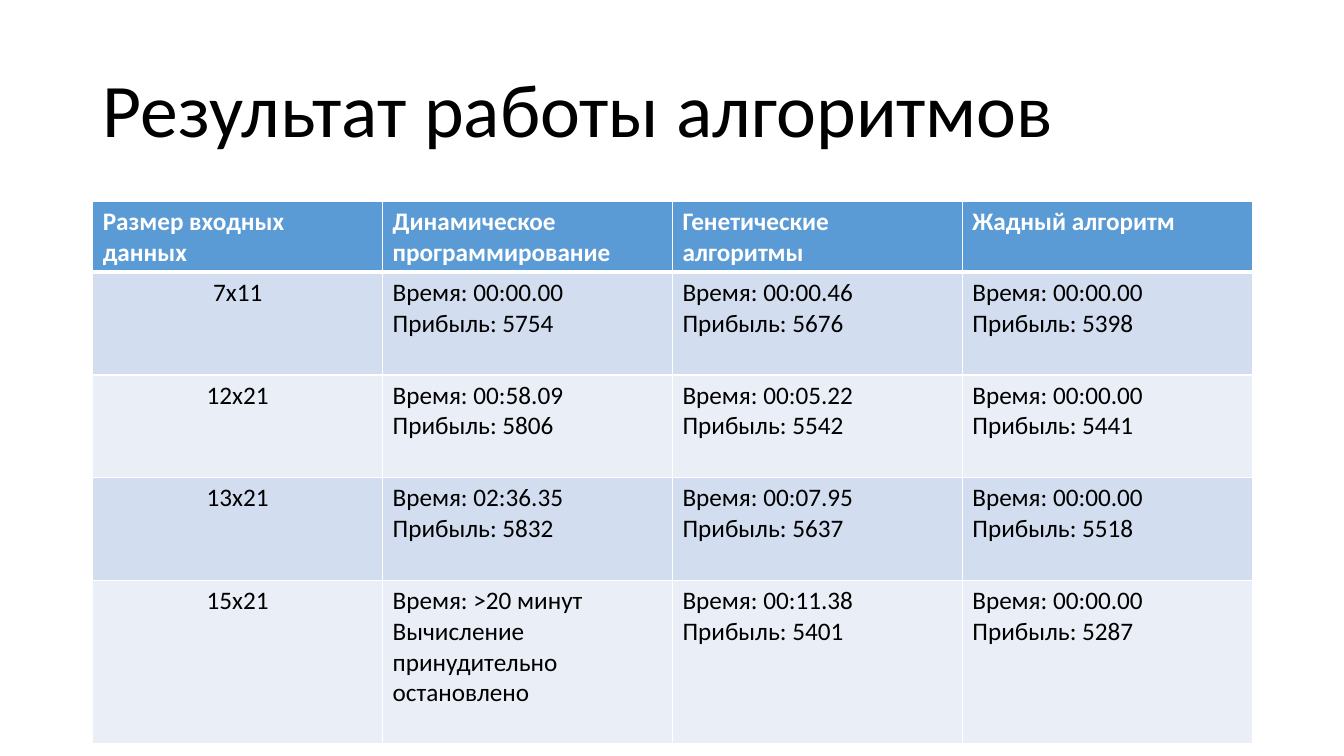
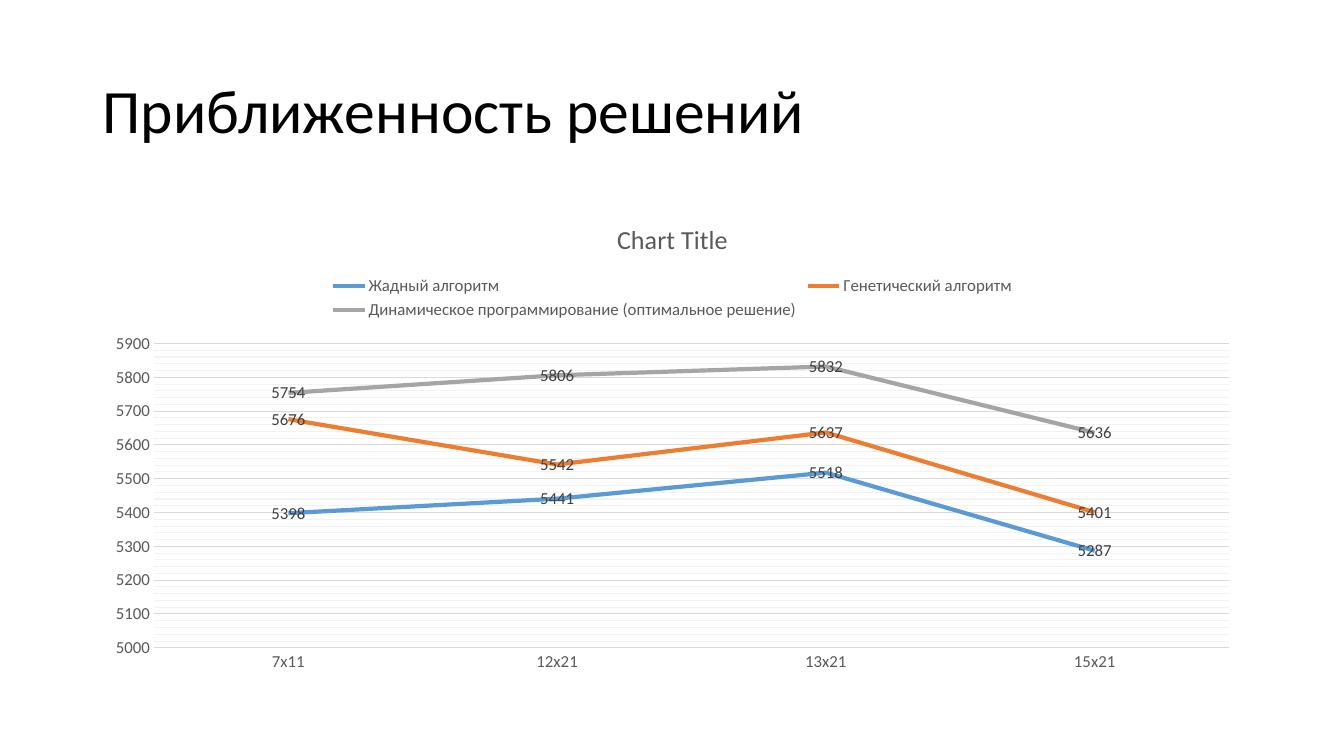
from lxml import etree
from pptx import Presentation
from pptx.chart.data import CategoryChartData
from pptx.dml.color import RGBColor
from pptx.enum.chart import XL_CHART_TYPE, XL_LABEL_POSITION, XL_LEGEND_POSITION, XL_TICK_MARK
from pptx.enum.text import MSO_ANCHOR, PP_ALIGN
from pptx.oxml.ns import qn
from pptx.util import Inches, Pt

LINE_CHART = XL_CHART_TYPE.LINE
LABEL_CENTER = XL_LABEL_POSITION.CENTER
LEGEND_TOP = XL_LEGEND_POSITION.TOP
NO_TICK = XL_TICK_MARK.NONE
MIDDLE = MSO_ANCHOR.MIDDLE
LEFT, CENTER = PP_ALIGN.LEFT, PP_ALIGN.CENTER

FONT = "Calibri"
BLACK = RGBColor(0x00, 0x00, 0x00)
WHITE = RGBColor(0xFF, 0xFF, 0xFF)
BLUE = RGBColor(0x5B, 0x9B, 0xD5)
ORANGE = RGBColor(0xED, 0x7D, 0x31)
GRAY = RGBColor(0xA5, 0xA5, 0xA5)
BANDS = (RGBColor(0xD2, 0xDE, 0xEF), RGBColor(0xEA, 0xEF, 0xF7))
AXIS_TEXT = RGBColor(0x59, 0x59, 0x59)
LABEL_TEXT = RGBColor(0x40, 0x40, 0x40)
GRID = RGBColor(0xD9, 0xD9, 0xD9)
MINOR_GRID = RGBColor(0xF2, 0xF2, 0xF2)

MARGIN, CONTENT_WIDTH, CONTENT_TOP = 0.92, 11.5, 2

TABLE_TITLE = "Результат работы алгоритмов"
HEADER = ("Размер входных данных", "Динамическое программирование",
          "Генетические алгоритмы", "Жадный алгоритм")
SIZES = ("7х11", "12х21", "13х21", "15х21")
DYNAMIC = ("Время: 00:00.00\nПрибыль: 5754", "Время: 00:58.09\nПрибыль: 5806",
           "Время: 02:36.35\nПрибыль: 5832",
           "Время: >20 минут\nВычисление принудительно остановлено")
GENETIC = ("Время: 00:00.46\nПрибыль: 5676", "Время: 00:05.22\nПрибыль: 5542",
           "Время: 00:07.95\nПрибыль: 5637", "Время: 00:11.38\nПрибыль: 5401")
GREEDY = ("Время: 00:00.00\nПрибыль: 5398", "Время: 00:00.00\nПрибыль: 5441",
          "Время: 00:00.00\nПрибыль: 5518", "Время: 00:00.00\nПрибыль: 5287")
ROW_HEIGHTS = (0.7, 1.02, 1.02, 1.02, 1.62)

CHART_SLIDE_TITLE = "Приближенность решений"
CHART_TITLE = "Chart Title"
SERIES = (
    ("Жадный алгоритм", (5398, 5441, 5518, 5287), BLUE),
    ("Генетический алгоритм", (5676, 5542, 5637, 5401), ORANGE),
    ("Динамическое программирование (оптимальное решение)",
     (5754, 5806, 5832, 5636), GRAY),
)


def style_font(font, size, color, bold=False):
    """Apply the shared typeface with a size, colour and weight."""
    font.name, font.size, font.bold = FONT, Pt(size), bold
    font.color.rgb = color


def write_text(frame, text, size=18, color=BLACK, bold=False, align=LEFT, spacing=None):
    """Fill a text frame, one paragraph for each line of text."""
    for index, line in enumerate(text.split("\n")):
        paragraph = frame.paragraphs[0] if index == 0 else frame.add_paragraph()
        paragraph.alignment = align
        paragraph.line_spacing = spacing
        run = paragraph.add_run()
        run.text = line
        style_font(run.font, size, color, bold)


def add_titled_slide(presentation, title, size):
    """Add a blank slide with the shared title area."""
    slide = presentation.slides.add_slide(presentation.slide_layouts[6])
    box = slide.shapes.add_textbox(Inches(MARGIN), Inches(0.4),
                                   Inches(CONTENT_WIDTH), Inches(1.45))
    box.text_frame.word_wrap = True
    box.text_frame.vertical_anchor = MIDDLE
    write_text(box.text_frame, title, size=size, spacing=0.9)
    return slide


def add_line_xml(parent, tag, color, width):
    """Append a solid line element, with its width in points."""
    line = etree.SubElement(parent, qn(tag), w=str(Pt(width)))
    fill = etree.SubElement(line, qn("a:solidFill"))
    etree.SubElement(fill, qn("a:srgbClr"), val=str(color))


def set_borders(cell, top=1, bottom=1):
    """Draw white cell borders, with widths in points."""
    properties = cell._tc.get_or_add_tcPr()
    for side, width in (("L", 1), ("R", 1), ("T", top), ("B", bottom)):
        add_line_xml(properties, f"a:ln{side}", WHITE, width)


def add_results_table(slide):
    """Add the table that compares the three algorithms."""
    rows = [HEADER, *zip(SIZES, DYNAMIC, GENETIC, GREEDY)]
    table = slide.shapes.add_table(
        len(rows), len(HEADER), Inches(MARGIN), Inches(CONTENT_TOP),
        Inches(CONTENT_WIDTH), Inches(sum(ROW_HEIGHTS))).table
    for column in table.columns:
        column.width = Inches(CONTENT_WIDTH / len(HEADER))
    for row_index, (values, height) in enumerate(zip(rows, ROW_HEIGHTS)):
        table.rows[row_index].height = Inches(height)
        is_header = row_index == 0
        for column_index, text in enumerate(values):
            cell = table.cell(row_index, column_index)
            set_borders(cell, top=3 if row_index == 1 else 1,
                        bottom=3 if is_header else 1)
            cell.fill.solid()
            cell.fill.fore_color.rgb = BLUE if is_header else BANDS[(row_index - 1) % 2]
            write_text(cell.text_frame, text, bold=is_header,
                       color=WHITE if is_header else BLACK,
                       align=CENTER if column_index == 0 and not is_header else LEFT)


def style_line(line, color, width=0.75):
    """Set the colour and width of a line."""
    line.color.rgb = color
    line.width = Pt(width)


def style_axes(chart):
    """Format both axes and the two levels of gridlines."""
    for axis in (chart.category_axis, chart.value_axis):
        axis.major_tick_mark = axis.minor_tick_mark = NO_TICK
        style_font(axis.tick_labels.font, 12, AXIS_TEXT)
    style_line(chart.category_axis.format.line, GRID)
    values = chart.value_axis
    values.format.line.fill.background()
    values.minimum_scale, values.maximum_scale = 5000, 5900
    values.major_unit, values.minor_unit = 100, 20
    values.has_major_gridlines = values.has_minor_gridlines = True
    style_line(values.major_gridlines.format.line, GRID)
    minor_gridlines = values._element.find(qn("c:minorGridlines"))
    add_line_xml(etree.SubElement(minor_gridlines, qn("c:spPr")), "a:ln", MINOR_GRID, 0.75)


def add_profit_chart(slide):
    """Add the line chart of profit by input size."""
    data = CategoryChartData()
    data.categories = SIZES
    for name, profits, _ in SERIES:
        data.add_series(name, profits)
    chart = slide.shapes.add_chart(
        LINE_CHART, Inches(MARGIN), Inches(CONTENT_TOP),
        Inches(CONTENT_WIDTH), Inches(4.76), data).chart
    style_font(chart.font, 10, BLACK)
    chart.has_title = True
    write_text(chart.chart_title.text_frame, CHART_TITLE, size=18.6,
               color=AXIS_TEXT, align=CENTER)
    chart.has_legend = True
    chart.legend.position = LEGEND_TOP
    chart.legend.include_in_layout = False
    style_font(chart.legend.font, 12, AXIS_TEXT)
    style_axes(chart)
    plot = chart.plots[0]
    plot.vary_by_categories = False
    for series, (_, _, color) in zip(plot.series, SERIES):
        series.smooth = False
        style_line(series.format.line, color, width=3)
        labels = series.data_labels
        labels.show_value = True
        labels.position = LABEL_CENTER
        style_font(labels.font, 12, LABEL_TEXT)


def main():
    """Build and save the presentation."""
    presentation = Presentation()
    presentation.slide_width, presentation.slide_height = Inches(13.33), Inches(7.5)
    add_results_table(add_titled_slide(presentation, TABLE_TITLE, 54))
    add_profit_chart(add_titled_slide(presentation, CHART_SLIDE_TITLE, 44))
    presentation.save("out.pptx")


main()
